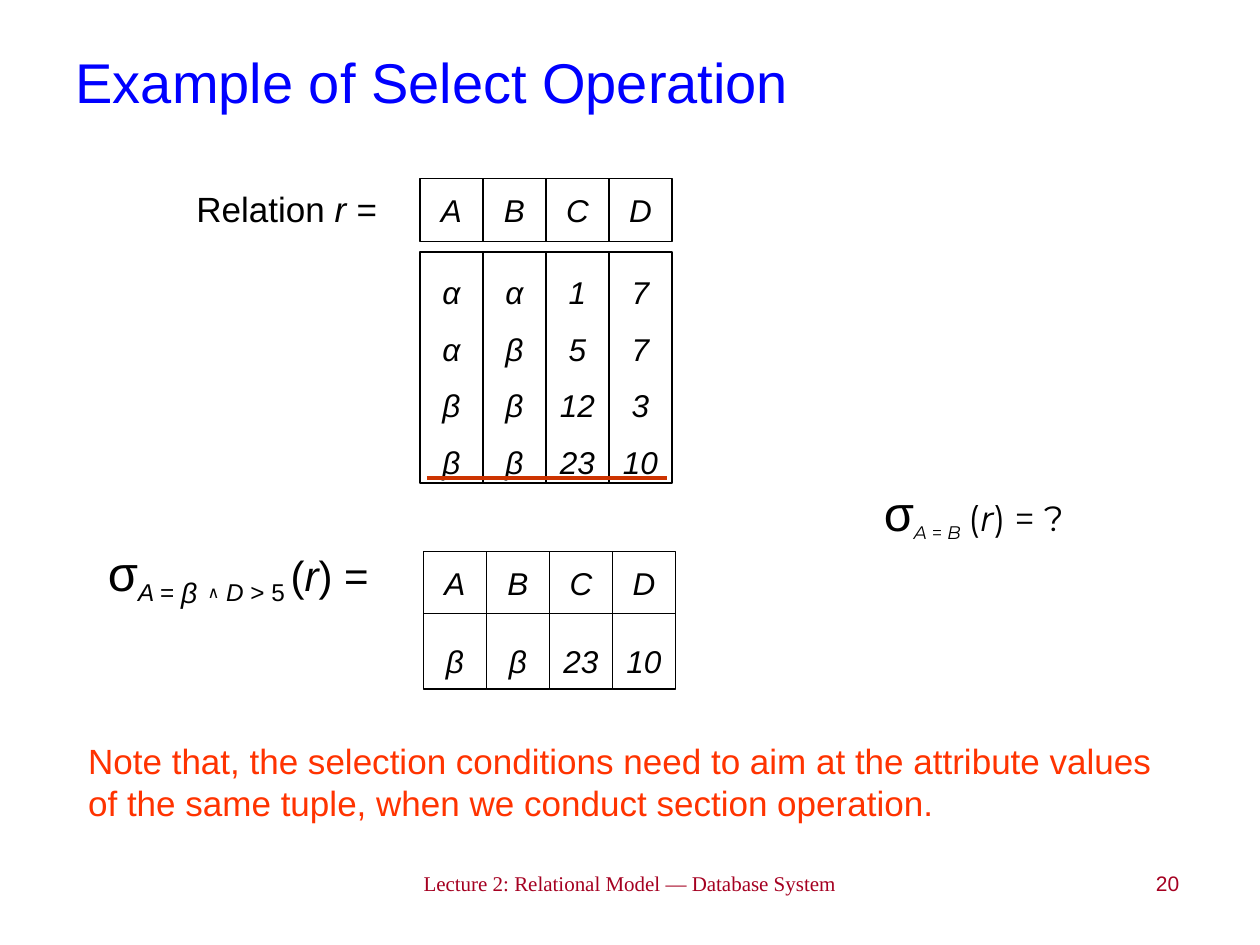
"""Builds the lecture slide that explains the relational select operation."""
from dataclasses import dataclass

import pptx
import pptx.dml.color
import pptx.enum.shapes
import pptx.enum.text
import pptx.oxml
import pptx.util
from pptx.util import Pt

Align = pptx.enum.text.PP_ALIGN
Anchor = pptx.enum.text.MSO_ANCHOR
Fit = pptx.enum.text.MSO_AUTO_SIZE


@dataclass(frozen=True)
class Theme:
    title: str = "0000FF"
    ink: str = "000000"
    paper: str = "FFFFFF"
    note: str = "FF3300"
    rule: str = "CC3300"
    footer: str = "A50021"
    sans: str = "Arial"
    serif: str = "Times New Roman"
    symbol: str = "Montserrat"
    title_size: float = 32
    sigma_size: float = 28
    formula_size: float = 24
    body_size: float = 20
    cell_size: float = 18
    and_size: float = 16
    footer_size: float = 12


theme = Theme()
rgb = pptx.dml.color.RGBColor.from_string


def format_span(span, size, color=theme.ink, font=theme.sans, italic=False, subscript=False):
    span.font.size = Pt(size)
    span.font.name = font
    span.font.italic = italic
    span.font.color.rgb = rgb(color)
    if subscript:
        span._r.get_or_add_rPr().set("baseline", "-25000")


def add_text(page, place, spans, align=Align.LEFT, before=0, wrap=True, grow=True, hanging=False):
    box = page.shapes.add_textbox(*map(Pt, place))
    frame = box.text_frame
    frame.word_wrap = wrap
    frame.auto_size = Fit.SHAPE_TO_FIT_TEXT if grow else Fit.NONE
    frame.vertical_anchor = Anchor.TOP if wrap else Anchor.MIDDLE
    para = frame.paragraphs[0]
    para.alignment = align
    para.space_before = Pt(before)
    if hanging:
        properties = para._p.get_or_add_pPr()
        properties.set("marL", str(Pt(18)))
        properties.set("indent", str(-Pt(18)))
    for text, style in spans:
        span = para.add_run()
        span.text = text
        format_span(span, **style)
    return box


deck = pptx.Presentation()
deck.slide_width, deck.slide_height = Pt(720), Pt(540)
page = deck.slides.add_slide(deck.slide_layouts[5])

title = page.shapes.title
title.left, title.top, title.width, title.height = Pt(36), Pt(1.5), Pt(648), Pt(90)
title.text_frame.text = "Example of Select Operation"
title.text_frame.vertical_anchor = Anchor.MIDDLE
title.text_frame.paragraphs[0].alignment = Align.LEFT
format_span(title.text_frame.paragraphs[0].runs[0], theme.title_size, theme.title)

footer = dict(size=theme.footer_size, color=theme.footer)
add_text(page, (166.5, 494, 390, 32),
         [("Lecture 2: Relational Model — Database System ", dict(footer, font=theme.serif))],
         Align.CENTER, grow=False)
add_text(page, (579, 494, 102, 32), [("20", footer)], Align.RIGHT, grow=False)

body = dict(size=theme.body_size)
add_text(page, (87, 103, 159, 32), [("Relation", body), (" r = ", dict(body, italic=True))],
         Align.CENTER, 12.5, wrap=False, hanging=True)

headers = [["A"], ["B"], ["C"], ["D"]]
relation = [["α", "α", "β", "β"], ["α", "β", "β", "β"], ["1", "5", "12", "23"], ["7", "7", "3", "10"]]
selection = [["β"], ["β"], ["23"], ["10"]]
cell_width = 36
result = page.shapes.add_group_shape()
bands = [
    (page.shapes, 240, 102, 36, headers, 1),
    (page.shapes, 240, 144, 132, relation, 1.5),
    (result.shapes, 242, 315.25, 36, headers, 1),
    (result.shapes, 242, 350.75, 43, selection, 1.5),
]
for shapes, left, top, height, columns, spacing in bands:
    for index, values in enumerate(columns):
        cell = shapes.add_shape(pptx.enum.shapes.MSO_SHAPE.RECTANGLE, Pt(left + index * cell_width),
                                Pt(top), Pt(cell_width), Pt(height))
        cell.shadow.inherit = False
        cell.fill.solid()
        cell.fill.fore_color.rgb = rgb(theme.paper)
        cell.line.color.rgb = rgb(theme.ink)
        cell.line.width = Pt(0.75)
        cell.text_frame.word_wrap = False
        cell.text_frame.vertical_anchor = Anchor.MIDDLE
        cell.text_frame.text = "\n".join(values)
        for para in cell.text_frame.paragraphs:
            para.alignment = Align.CENTER
            para.line_spacing = float(spacing)
            format_span(para.runs[0], theme.cell_size, italic=True)

sigma = ("σ", dict(size=theme.sigma_size))
formula = dict(size=theme.formula_size)
lower = dict(formula, subscript=True)
add_text(page, (36.5, 298, 206, 57), [
    sigma,
    ("A ", dict(lower, italic=True)),
    ("= ", lower),
    ("β", dict(lower, size=theme.sigma_size, italic=True)),
    (" ", dict(lower, size=36)),
    ("∧", dict(lower, size=theme.and_size, font=theme.symbol)),
    (" ", lower),
    ("D", dict(lower, italic=True)),
    (" > 5", lower),
    (" ", dict(lower, size=theme.body_size)),
    ("(", formula),
    ("r", dict(formula, italic=True)),
    (") = ", formula),
], Align.CENTER, 15, wrap=False, hanging=True)

add_text(page, (43.25, 419, 627, 55.5),
         [("Note that, the selection conditions need to aim at the attribute values "
           "of the same tuple, when we conduct section operation.", dict(body, color=theme.note))],
         before=12.5)

underline = page.shapes.add_connector(pptx.enum.shapes.MSO_CONNECTOR.STRAIGHT,
                                      Pt(244), Pt(273), Pt(381), Pt(273))
underline.line.color.rgb = rgb(theme.rule)
underline.line.width = Pt(2.25)
underline._element.spPr.append(pptx.oxml.parse_xml(
    '<a:effectLst xmlns:a="http://schemas.openxmlformats.org/drawingml/2006/main"/>'))

symbol = dict(body, font=theme.symbol)
condition = dict(symbol, size=theme.cell_size, subscript=True)
question = add_text(page, (481, 272, 170, 42), [
    sigma,
    ("A ", dict(condition, italic=True)),
    ("= ", condition),
    ("B", dict(condition, italic=True)),
    (" ", dict(symbol, size=theme.and_size)),
    ("(", symbol),
    ("r", dict(symbol, italic=True)),
    (") = ?", symbol),
], before=12.5)
question.text_frame.margin_left = Pt(24)

deck.save("out.pptx")
